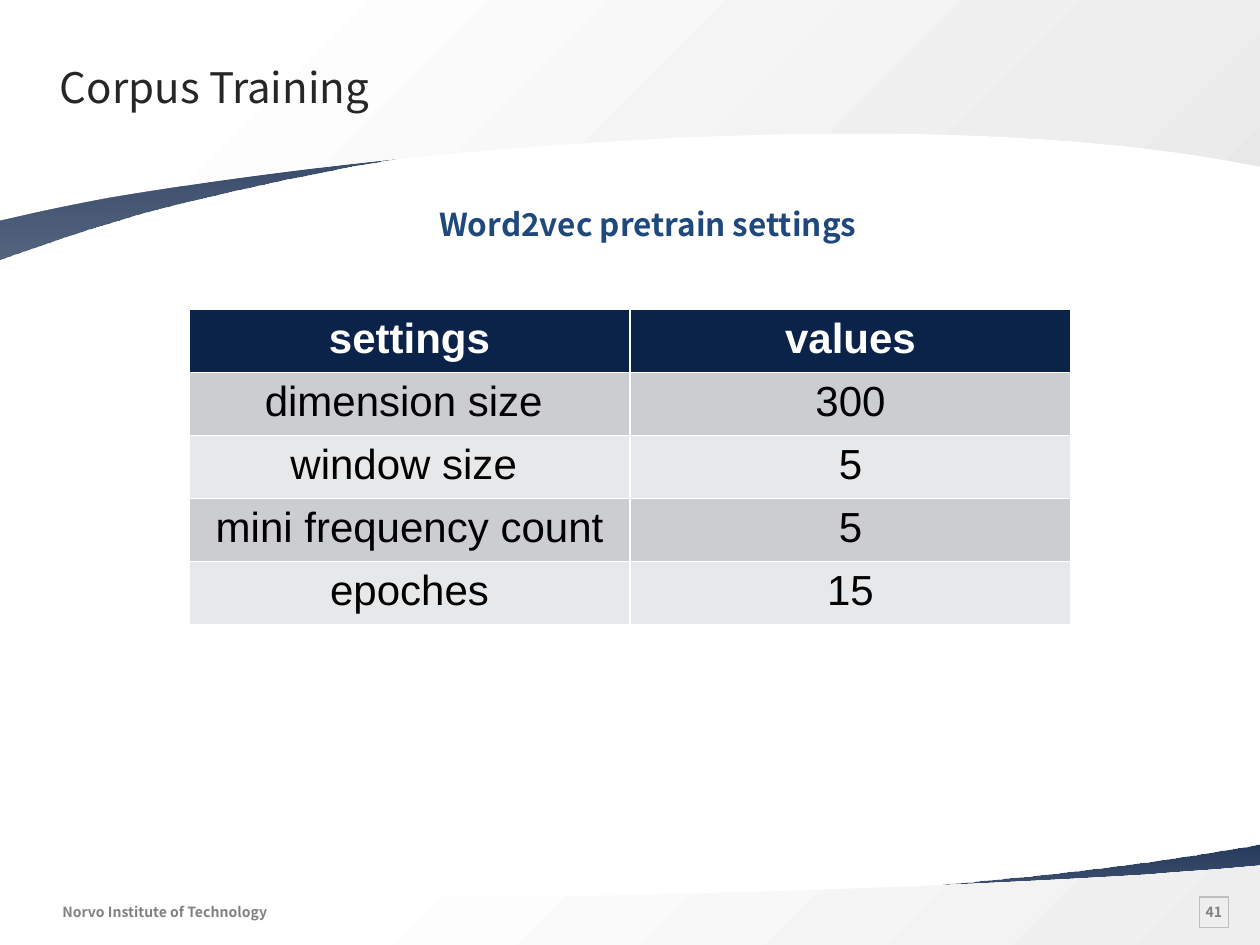
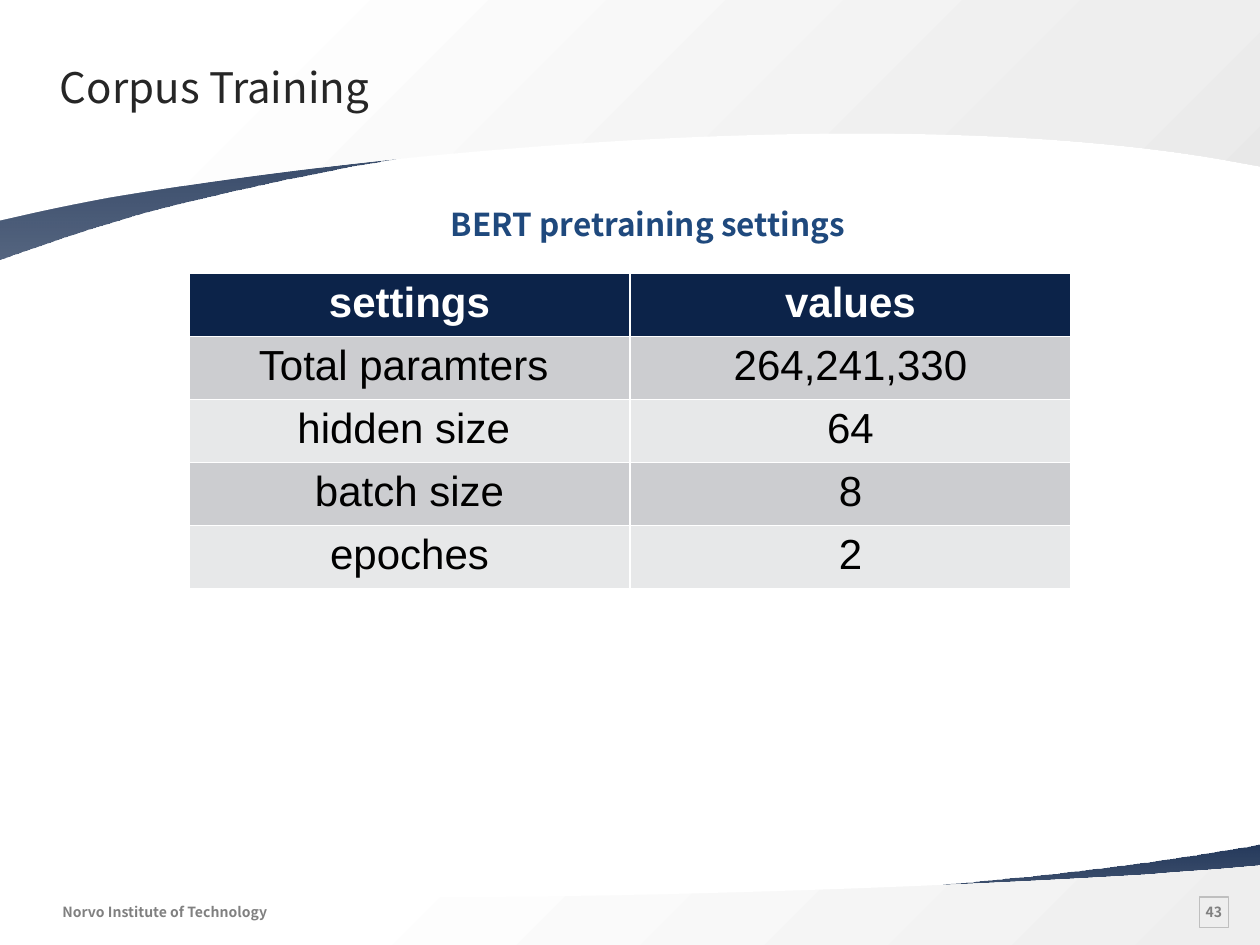
import lxml.etree
import pptx
import pptx.dml.color
import pptx.enum.shapes
import pptx.enum.text
import pptx.oxml.ns
import pptx.util

Pt = pptx.util.Pt
qn = pptx.oxml.ns.qn
ALIGN = pptx.enum.text.PP_ALIGN
ANCHOR = pptx.enum.text.MSO_ANCHOR

# Content
TITLE = "Corpus Training"
FOOTER = "Norvo Institute of Technology"
HEADER = ("settings", "values")
SLIDES = [
    {
        "page": "41",
        "subtitle": "Word2vec pretrain settings ",
        "table_top": 176.7,
        "rows": [
            ("dimension size ", "300"),
            ("window size ", "5"),
            ("mini frequency count", "5"),
            ("epoches", "15"),
        ],
    },
    {
        "page": "43",
        "subtitle": "BERT pretraining settings ",
        "table_top": 156.24,
        "rows": [
            ("Total paramters ", "264,241,330"),
            ("hidden size ", "64"),
            ("batch size", "8"),
            ("epoches", "2"),
        ],
    },
]

# Shared style
WIDTH, HEIGHT = 720, 540
FONT, TABLE_FONT = "Noto Sans CJK SC", "Arial"
COLORS = {
    "navy": "0C2349",
    "title": "262626",
    "subtitle": "1F497D",
    "small": "808080",
    "frame": "BFBFBF",
    "white": "FFFFFF",
    "black": "000000",
    "pale": "EEEEEE",
    "gray": "E8E8E8",
    "odd_row": "CCCDD0",
    "even_row": "E7E8E9",
}
ROW_HEIGHT, COLUMN_WIDTH, TABLE_LEFT = 30, 252, 108

# Gradient stops: position %, colour, opacity %
RIBBON = [(0, "navy", 90), (100, "navy", 70)]
# Each outline holds points (x, y) and curves (x1, y1, x2, y2, x, y)
BANDS = [
    {
        "stops": RIBBON,
        "angle": 90,
        "outline": [
            (720, 482.4), (720, 529.2), (0, 529.2), (0, 509.76), (0.72, 509.76),
            (162.72, 533.52, 442.8, 516.24, 604.08, 498.96),
            (636.48, 495.36, 673.2, 490.32, 712.08, 483.84),
        ],
    },
    {
        "stops": [(26, "white", 100), (100, "pale", 100)],
        "angle": 45,
        "outline": [
            (720, 494.64), (720, 540), (0, 540), (0, 506.16), (23.76, 507.6),
            (211.68, 519.12, 491.76, 509.76, 658.08, 499.68),
            (672.48, 498.24, 688.32, 497.52, 704.16, 496.08),
        ],
    },
    {
        "stops": RIBBON,
        "angle": 90,
        "outline": [
            (0, 148.32), (0, 47.52), (720, 47.52), (720, 89.28), (719.28, 88.56),
            (557.28, 38.16, 277.2, 74.16, 115.92, 113.04),
            (83.52, 120.24, 46.8, 131.76, 7.92, 145.44),
        ],
    },
    {
        "stops": [(17, "white", 100), (81, "pale", 100), (100, "gray", 100)],
        "angle": 45,
        "outline": [
            (0, 126), (0, 0), (720, 0), (720, 95.04), (696.24, 90.72),
            (508.32, 59.04, 228.24, 84.96, 61.92, 113),
            (47.52, 115.7, 31.68, 118.8, 15.84, 122.4),
        ],
    },
]


def rgb(name):
    return pptx.dml.color.RGBColor.from_string(COLORS[name])


def bend_segments(sp, outline):
    """Turn the straight segments that stand for curves into Bezier segments."""
    top = min(part[-1] for part in outline)
    segments = list(sp.element.spPr.find(".//" + qn("a:path")))
    for segment, part in zip(segments, outline):
        if len(part) == 6:
            segment.tag = qn("a:cubicBezTo")
            for i in (0, 1):
                x, y = part[2 * i], part[2 * i + 1] - top
                pt = lxml.etree.Element(
                    qn("a:pt"), x=str(round(x * 100)), y=str(round(y * 100)))
                segment.insert(i, pt)


def fill_gradient(sp, stops, angle):
    sp.fill.gradient()
    sp.fill.gradient_angle = 360 - angle
    stop_list = sp.element.spPr.find(qn("a:gradFill")).find(qn("a:gsLst"))
    for old in list(stop_list):
        stop_list.remove(old)
    for position, color, opacity in stops:
        gs = lxml.etree.SubElement(stop_list, qn("a:gs"), pos=str(position * 1000))
        clr = lxml.etree.SubElement(gs, qn("a:srgbClr"), val=COLORS[color])
        if opacity < 100:
            lxml.etree.SubElement(clr, qn("a:alpha"), val=str(opacity * 1000))


def add_band(slide, band):
    points = [(part[-2] * 100, part[-1] * 100) for part in band["outline"]]
    builder = slide.shapes.build_freeform(*points[0], scale=Pt(0.01))
    builder.add_line_segments(points[1:], close=True)
    sp = builder.convert_to_shape()
    bend_segments(sp, band["outline"])
    sp.shadow.inherit = False
    sp.line.fill.background()
    fill_gradient(sp, band["stops"], band["angle"])
    return sp


def write(tf, text, size, color, bold=False, align=ALIGN.LEFT, font=FONT):
    tf.text = text
    p = tf.paragraphs[0]
    p.alignment = align
    p.font.name, p.font.size, p.font.bold = font, Pt(size), bold
    p.font.color.rgb = rgb(color)


def set_frame(tf, left, top, right, bottom, anchor=ANCHOR.TOP, wrap=True):
    tf.margin_left, tf.margin_top = Pt(left), Pt(top)
    tf.margin_right, tf.margin_bottom = Pt(right), Pt(bottom)
    tf.vertical_anchor, tf.word_wrap = anchor, wrap


def add_text(slide, box, margins, *args, **style):
    sp = slide.shapes.add_textbox(*map(Pt, box))
    set_frame(sp.text_frame, *margins)
    write(sp.text_frame, *args, **style)
    return sp


def add_page_number(slide, number):
    sp = slide.shapes.add_shape(
        pptx.enum.shapes.MSO_SHAPE.RECTANGLE, Pt(685.44), Pt(512.64), Pt(16.56), Pt(17.28))
    sp.shadow.inherit = False
    sp.fill.background()
    sp.line.color.rgb, sp.line.width = rgb("frame"), Pt(0.75)
    set_frame(sp.text_frame, 5.76, 5.76, 5.76, 5.76, ANCHOR.MIDDLE, wrap=False)
    write(sp.text_frame, number, 8, "small", bold=True, align=ALIGN.CENTER)


def add_settings_table(slide, top, rows):
    """Add the table; its default style supplies the white rules."""
    rows = [HEADER] + rows
    table = slide.shapes.add_table(
        len(rows), len(HEADER), Pt(TABLE_LEFT), Pt(top),
        Pt(COLUMN_WIDTH * len(HEADER)), Pt(ROW_HEIGHT * len(rows))).table
    for i, row in enumerate(rows):
        is_header = i == 0
        fill = "navy" if is_header else "odd_row" if i % 2 else "even_row"
        for j, text in enumerate(row):
            cell = table.cell(i, j)
            cell.fill.solid()
            cell.fill.fore_color.rgb = rgb(fill)
            write(cell.text_frame, text, 24, "white" if is_header else "black",
                  bold=is_header, align=ALIGN.CENTER, font=TABLE_FONT)


def add_shared_parts(slide):
    """Draw the bands and footer, then move them to the slide's layout."""
    parts = [add_band(slide, band) for band in BANDS]
    parts.append(add_text(slide, (35.7, 512.64, 144, 16.56), (0, 3.6, 7.2, 3.6),
                          FOOTER, 8, "small", bold=True))
    for sp in parts:
        slide.slide_layout.shapes.element.append(sp.element)


def add_settings_slide(prs, layout, content):
    slide = prs.slides.add_slide(layout)
    title = slide.shapes.title
    title.left, title.top, title.width, title.height = map(Pt, (28.5, 29.52, 648, 41.76))
    set_frame(title.text_frame, 5.76, 5.76, 0, 5.76)
    title.text_frame.auto_size = pptx.enum.text.MSO_AUTO_SIZE.NONE
    write(title.text_frame, TITLE, 24, "title")
    add_page_number(slide, content["page"])
    add_text(slide, (182.16, 113.4, 380.16, 29.52), (7.2, 3.6, 7.2, 3.6),
             content["subtitle"], 18, "subtitle", bold=True, align=ALIGN.CENTER)
    add_settings_table(slide, content["table_top"], content["rows"])
    return slide


def main():
    prs = pptx.Presentation()
    prs.slide_width, prs.slide_height = Pt(WIDTH), Pt(HEIGHT)
    layout = prs.slide_layouts.get_by_name("Title Only")
    slides = [add_settings_slide(prs, layout, content) for content in SLIDES]
    add_shared_parts(slides[0])
    prs.save("out.pptx")


if __name__ == "__main__":
    main()
